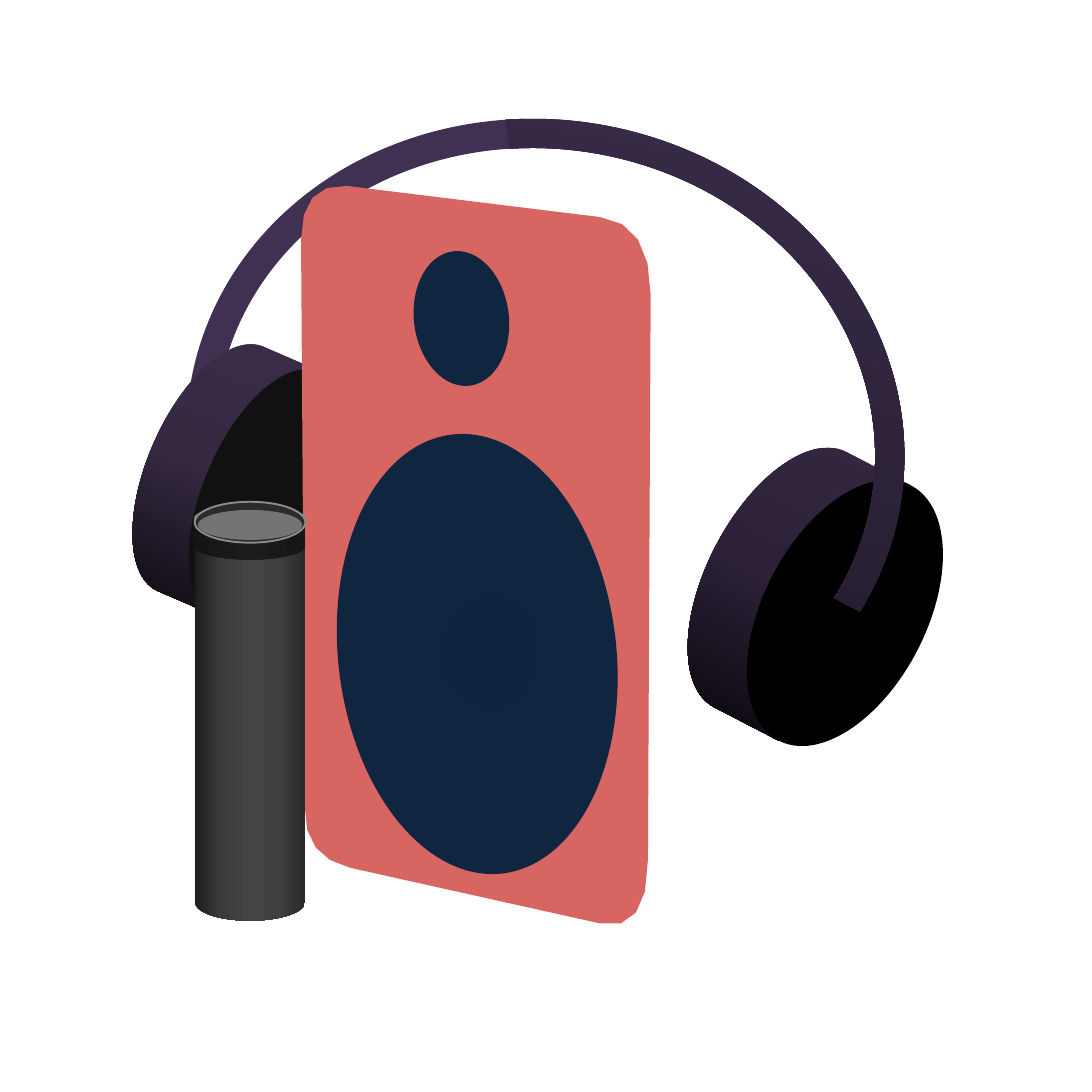
"""Build a slide with headphones, a loudspeaker and a dark cylinder."""
from copy import deepcopy
from math import cos, radians, sin

from pptx import Presentation
from pptx.dml.color import RGBColor
from pptx.enum import shapes
from pptx.oxml import ns
from pptx.util import Cm, Pt

KIND = shapes.MSO_SHAPE


def paint(shape, *colours, angle=270, line=None):
    """Fill with one colour or an even gradient, and set the outline."""
    shape.shadow.inherit = False
    if len(colours) == 1:
        shape.fill.solid()
        shape.fill.fore_color.rgb = RGBColor.from_string(colours[0])
    else:
        shape.fill.gradient()
        shape.fill.gradient_angle = angle
        stops = shape._element.spPr.find(ns.qn("a:gradFill")).find(ns.qn("a:gsLst"))
        for _ in colours[2:]:
            stops.append(deepcopy(stops[0]))
        for index, (stop, colour) in enumerate(zip(shape.fill.gradient_stops, colours)):
            stop.position = index / (len(colours) - 1)
            stop.color.rgb = RGBColor.from_string(colour)
    if line:
        shape.line.color.rgb = RGBColor.from_string(line)
        shape.line.width = Pt(1)
    else:
        shape.line.fill.background()


def centred(kind, x, y, width, height, turn):
    """Add a turned shape around a centre given in centimetres."""
    shape = page.shapes.add_shape(
        kind, Cm(x - width / 2), Cm(y - height / 2), Cm(width), Cm(height))
    shape.rotation = turn
    return shape


deck = Presentation()
deck.slide_width = deck.slide_height = Cm(20.02)
page = deck.slides.add_slide(deck.slide_layouts[6])

bands = []
for start, end, colours in [(176, 256, ["403152"]), (253, 18, ["3B2D4B", "1C1624"])]:
    band = centred(KIND.BLOCK_ARC, 10, 8.15, 13.2, 11.9, 10)
    for index, value in enumerate([start * 0.6, end * 0.6, 0.045]):
        band.adjustments[index] = value
    paint(band, *colours)
    bands.append(band)

cups = [
    (4.91, 9.05, 2.35, 4.88, 2.29, 23.4, ["3A2D4A", "352942", "0A080C"], "111111"),
    (15.49, 11.24, 2.99, 5.27, 2.67, 27.4, ["362A43", "2C2138", "050406"], "000000"),
]
for x, y, width, height, depth, turn, colours, face_colour in cups:
    side_x = x - depth / 2 * cos(radians(turn))
    side_y = y - depth / 2 * sin(radians(turn))
    side = centred(KIND.FLOWCHART_DELAY, side_x, side_y, depth, height, turn + 180)
    paint(side, *colours, angle=90)
    paint(centred(KIND.OVAL, x, y, width, height, turn), face_colour)

rounded_corners = [
    ((5.52, 4.4), (5.52, 3.35), (6.36, 3.41)),
    ((11.0, 3.98), (11.93, 4.09), (11.93, 5.41)),
    ((11.88, 15.76), (11.88, 17.12), (11.0, 16.93)),
    ((6.42, 15.91), (5.57, 15.71), (5.59, 14.81)),
]
cabinet_points = []
for begin, corner, finish in rounded_corners:
    for t in (0, 0.25, 0.5, 0.75, 1):
        cabinet_points.append([
            Cm((1 - t) ** 2 * a + 2 * t * (1 - t) * b + t * t * c)
            for a, b, c in zip(begin, corner, finish)
        ])
builder = page.shapes.build_freeform(*cabinet_points[0], scale=1.0)
builder.add_line_segments(cabinet_points[1:], close=True)
paint(builder.convert_to_shape(), "D76561")

page.shapes._spTree.append(bands[1]._element)

drivers = [
    (8.46, 5.84, 1.74, 2.48, -7, "10253F"),
    (8.75, 11.99, 5.1, 8.1, -6.5, "10253F"),
    (8.98, 11.95, 1.9, 2.2, 4.6, "0F243E"),
]
for x, y, width, height, turn, colour in drivers:
    paint(centred(KIND.OVAL, x, y, width, height, turn), colour)

cylinder = page.shapes.add_group_shape()
cylinder_parts = [
    (KIND.CAN, 3.57, 9.26, 2.02, 7.62, ["1E1E1E", "3C3C3C", "444444", "404040", "2A2A2A"], None),
    (KIND.CAN, 3.55, 9.26, 2.05, 1.0, ["141414", "1C1C1C", "161616"], None),
    (KIND.OVAL, 3.57, 9.2, 2.03, 0.75, ["2B2B2B"], "8C8C8C"),
    (KIND.OVAL, 3.63, 9.35, 1.91, 0.55, ["747474"], None),
]
for kind, x, y, width, height, colours, line in cylinder_parts:
    part = cylinder.shapes.add_shape(kind, Cm(x), Cm(y), Cm(width), Cm(height))
    if kind == KIND.CAN:
        part.adjustments[0] = 0.67 / min(width, height)
    paint(part, *colours, angle=0, line=line)

deck.save("out.pptx")
